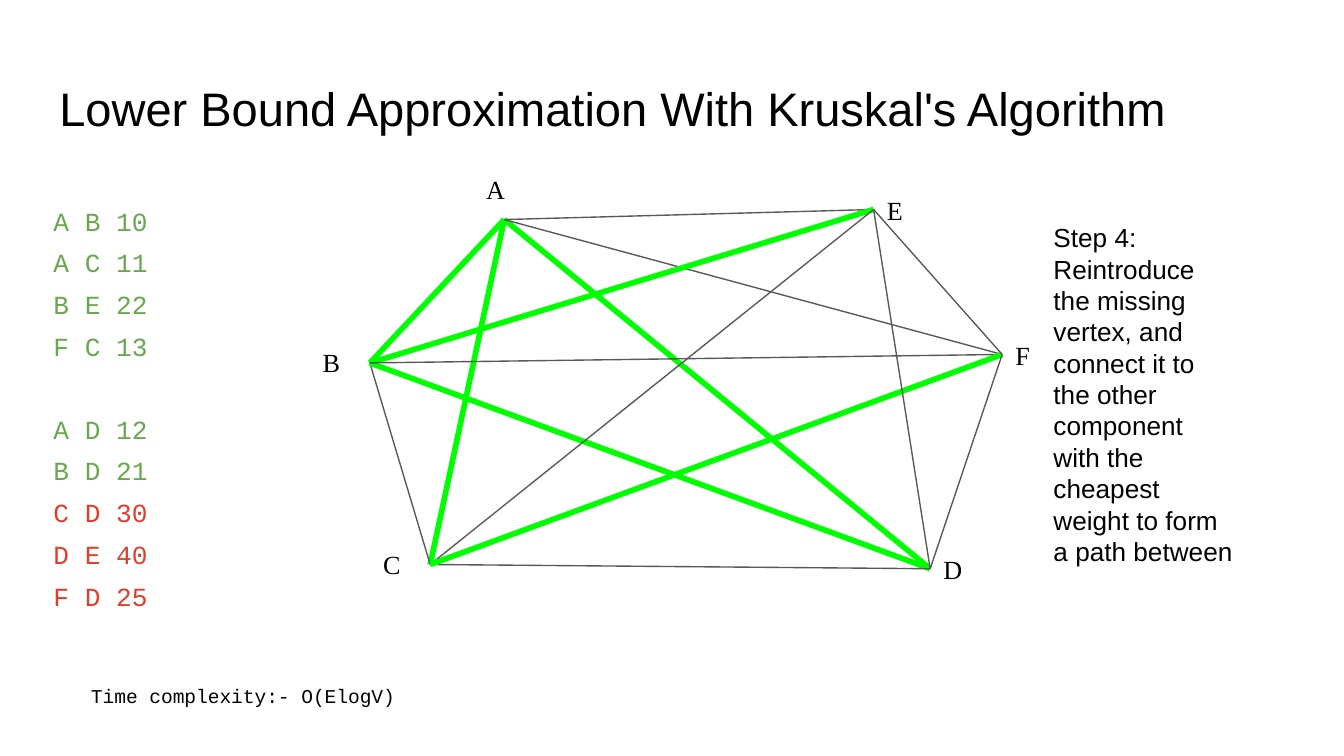
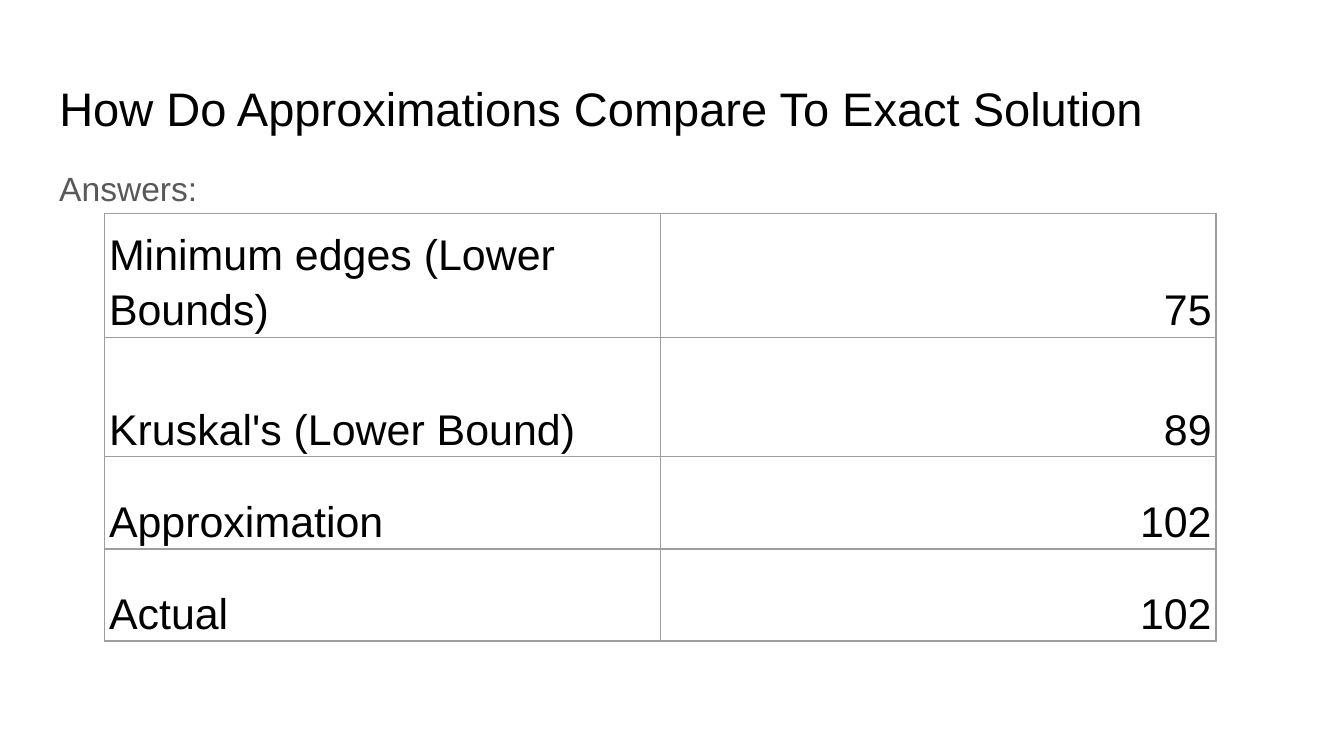
from itertools import combinations

from lxml import etree
from pptx import Presentation
from pptx.dml.color import RGBColor
from pptx.enum.shapes import MSO_CONNECTOR
from pptx.enum.text import MSO_ANCHOR, PP_ALIGN
from pptx.oxml.ns import qn
from pptx.util import Cm, Pt

STRAIGHT = MSO_CONNECTOR.STRAIGHT
LEFT, RIGHT = PP_ALIGN.LEFT, PP_ALIGN.RIGHT
MIDDLE, BOTTOM = MSO_ANCHOR.MIDDLE, MSO_ANCHOR.BOTTOM

BLACK = RGBColor(0x00, 0x00, 0x00)
WHITE = RGBColor(0xFF, 0xFF, 0xFF)
GREY = RGBColor(0x59, 0x59, 0x59)
BORDER_GREY = RGBColor(0x9E, 0x9E, 0x9E)
CHOSEN_GREEN = RGBColor(0x6A, 0xA8, 0x4F)
REJECTED_RED = RGBColor(0xE0, 0x3E, 0x2D)
PATH_GREEN = RGBColor(0x00, 0xFF, 0x00)

SANS, MONO, SERIF = "Arial", "Courier New", "Times New Roman"
INSET = Cm(0.25)


class Deck:
    def __init__(self):
        self.prs = Presentation()
        self.prs.slide_width = Cm(25.4)
        self.prs.slide_height = Cm(14.29)
        self.slide = None

    def style(self, paragraph, size, color=BLACK, font=SANS, spacing=1.0, align=LEFT):
        paragraph.font.size = Pt(size)
        paragraph.font.name = font
        paragraph.font.color.rgb = color
        paragraph.line_spacing = spacing
        paragraph.alignment = align

    def inset(self, frame):
        frame.word_wrap = True
        frame.margin_left = frame.margin_right = INSET
        frame.margin_top = frame.margin_bottom = INSET

    def add_slide(self, heading):
        self.slide = self.prs.slides.add_slide(self.prs.slide_layouts[5])
        self.slide.background.fill.solid()
        self.slide.background.fill.fore_color.rgb = WHITE
        title = self.slide.shapes.title
        title.left, title.top = Cm(0.87), Cm(1.24)
        title.width, title.height = Cm(23.67), Cm(1.6)
        self.inset(title.text_frame)
        title.text_frame.vertical_anchor = MIDDLE
        title.text_frame.text = heading
        self.style(title.text_frame.paragraphs[0], 25.2)

    def text(self, left, top, width, height, lines, size, **look):
        box = self.slide.shapes.add_textbox(Cm(left), Cm(top), Cm(width), Cm(height))
        self.inset(box.text_frame)
        box.text_frame.text = "\n".join(lines)
        for paragraph in box.text_frame.paragraphs:
            self.style(paragraph, size, **look)
        return box.text_frame.paragraphs

    def edge(self, start, end, color, weight):
        (x1, y1), (x2, y2) = start, end
        line = self.slide.shapes.add_connector(STRAIGHT, Cm(x1), Cm(y1), Cm(x2), Cm(y2))
        line.line.color.rgb = color
        line.line.width = Pt(weight)
        etree.SubElement(line._element.spPr, qn("a:effectLst"))

    def cell_borders(self, cell):
        properties = cell._tc.get_or_add_tcPr()
        for position, side in enumerate(("lnL", "lnR", "lnT", "lnB")):
            border = etree.Element(qn(f"a:{side}"), w=str(Pt(0.75)))
            fill = etree.SubElement(border, qn("a:solidFill"))
            etree.SubElement(fill, qn("a:srgbClr"), val=str(BORDER_GREY))
            properties.insert(position, border)

    def table(self, left, top, column_width, row_heights, rows):
        columns = len(rows[0])
        table = self.slide.shapes.add_table(
            len(rows), columns, Cm(left), Cm(top),
            Cm(column_width * columns), Cm(sum(row_heights))).table
        table.first_row = table.horz_banding = False
        for column in table.columns:
            column.width = Cm(column_width)
        for row, height, values in zip(table.rows, row_heights, rows):
            row.height = Cm(height)
            for cell, value, align in zip(row.cells, values, (LEFT, RIGHT)):
                cell.text = value
                cell.vertical_anchor = BOTTOM
                cell.margin_left = cell.margin_right = Cm(0.08)
                cell.margin_top = cell.margin_bottom = Cm(0.05)
                cell.fill.background()
                self.style(cell.text_frame.paragraphs[0], 23, spacing=1.15, align=align)
                self.cell_borders(cell)


deck = Deck()

deck.add_slide("Lower Bound Approximation With Kruskal's Algorithm")
weights = ["A B 10", "A C 11", "B E 22", "F C 13", "A D 12",
           "B D 21", "C D 30", "D E 40", "F D 25"]
weight_lines = deck.text(0.76, 3.43, 23.67, 9.5, weights, 14,
                         color=CHOSEN_GREEN, font=MONO, spacing=1.33)
weight_lines[4].space_before = Pt(22.2)
for rejected in weight_lines[6:]:
    rejected.font.color.rgb = REJECTED_RED

vertices = {"A": (9.53, 4.15), "B": (6.99, 6.86), "C": (8.13, 10.67),
            "D": (17.58, 10.75), "E": (16.51, 3.96), "F": (18.94, 6.7)}
label_offsets = {"A": (-0.59, -1.13), "B": (-1.14, -0.56), "C": (-1.14, -0.56)}
path_edges = {"AB", "AC", "AD", "BD", "BE", "CF"}
for start, end in combinations(vertices, 2):
    color, weight = (PATH_GREEN, 3) if start + end in path_edges else (GREY, 0.75)
    deck.edge(vertices[start], vertices[end], color, weight)
for vertex, (x, y) in vertices.items():
    dx, dy = label_offsets.get(vertex, (0, -0.54))
    deck.text(x + dx, y + dy, 1.14, 1.12, [vertex], 14, font=SERIF)

deck.text(19.66, 3.94, 3.89, 7.09,
          ["Step 4:", "Reintroduce the missing vertex, and connect it to the other "
           "component with the cheapest weight to form a path between"], 14)
complexity = deck.text(1.47, 12.62, 6.99, 0.97, ["Time complexity:- O(ElogV)"], 10.5,
                       font=MONO, spacing=1.15)
complexity[0].space_after = Pt(12)

deck.add_slide("How Do Approximations Compare To Exact Solution")
deck.text(0.87, 2.82, 23.67, 9.5, ["Answers:"], 18, color=GREY, spacing=1.15)
deck.table(1.98, 4.04, 10.5, [2.26, 2.26, 1.74, 1.74],
           [("Minimum edges (Lower Bounds)", "75"),
            ("Kruskal's (Lower Bound)", "89"),
            ("Approximation", "102"),
            ("Actual", "102")])

deck.prs.save("out.pptx")
